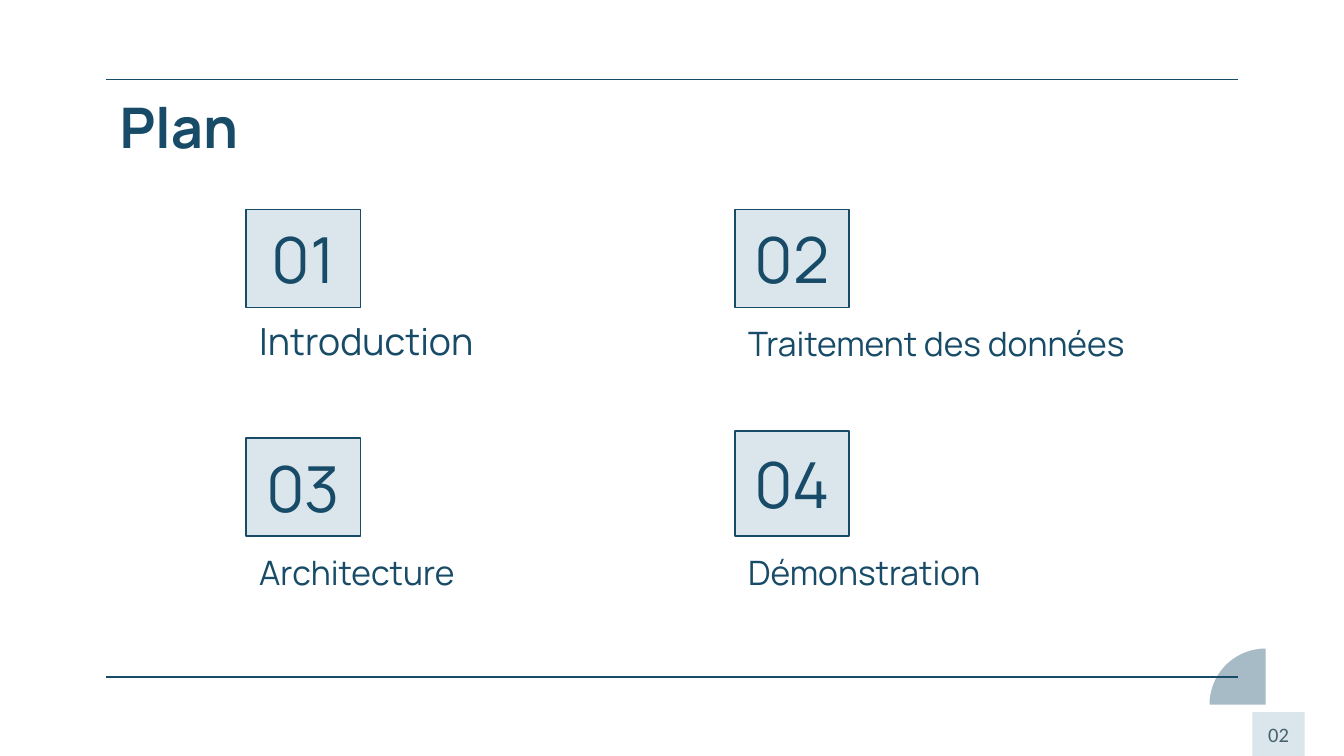
from dataclasses import dataclass
from math import cos, pi, sin

from lxml import etree
from pptx import Presentation
from pptx.dml.color import RGBColor
from pptx.enum import shapes, text
from pptx.oxml.ns import qn
from pptx.util import Cm, Pt

NAVY, PALE, MIST, SLATE = "174B67", "DAE6EC", "A7BBC7", "476170"
LEFT, RIGHT = 2.01, 23.39
COLUMNS = (4.65, 13.89)
BOX_WIDTH = 2.16


@dataclass
class Section:
    number: str
    title: str
    left: float
    box_top: float
    box_height: float
    title_top: float
    title_size: int = 18


SECTIONS = [
    Section("01", "Introduction", COLUMNS[0], 3.96, 1.85, 6.02, 20),
    Section("02", "Traitement des données", COLUMNS[1], 3.96, 1.85, 6.02),
    Section("03", "Architecture", COLUMNS[0], 8.28, 1.85, 10.36),
    Section("04", "Démonstration", COLUMNS[1], 8.15, 1.98, 10.36),
]


def rgb(value: str) -> RGBColor:
    return RGBColor.from_string(value)


def write(sp, content: str, *, size: int, font: str = "Manrope", color: str = NAVY,
          bold: bool = False, align=text.PP_ALIGN.LEFT,
          anchor=text.MSO_ANCHOR.MIDDLE) -> None:
    tf = sp.text_frame
    tf.word_wrap = True
    tf.vertical_anchor = anchor
    tf.margin_left = tf.margin_right = tf.margin_top = tf.margin_bottom = Cm(0.25)
    p = tf.paragraphs[0]
    p.alignment = align
    r = p.add_run()
    r.text = content
    r.font.name, r.font.size, r.font.bold = font, Pt(size), bold
    r.font.color.rgb = rgb(color)


def add_text(s, content: str, left: float, top: float, width: float, height: float,
             **fmt) -> None:
    sp = s.shapes.add_textbox(Cm(left), Cm(top), Cm(width), Cm(height))
    write(sp, content, **fmt)


def paint(sp, fill: str, line: str | None = None) -> None:
    sp.shadow.inherit = False
    sp.fill.solid()
    sp.fill.fore_color.rgb = rgb(fill)
    if line:
        sp.line.color.rgb = rgb(line)
        sp.line.width = Pt(0.75)
    else:
        sp.line.fill.background()


def add_box(s, content: str, left: float, top: float, width: float, height: float,
            line: str | None = None, **fmt) -> None:
    sp = s.shapes.add_shape(shapes.MSO_SHAPE.RECTANGLE,
                            Cm(left), Cm(top), Cm(width), Cm(height))
    paint(sp, PALE, line)
    write(sp, content, align=text.PP_ALIGN.CENTER, **fmt)


def add_rule(s, y: float) -> None:
    """Draw a horizontal line across the content width."""
    c = s.shapes.add_connector(shapes.MSO_CONNECTOR.STRAIGHT,
                               Cm(LEFT), Cm(y), Cm(RIGHT), Cm(y))
    c.line.color.rgb = rgb(NAVY)
    c.line.width = Pt(0.75)
    etree.SubElement(c._element.spPr, qn("a:effectLst"))


def add_quarter_disc(s, x: float, y: float, radius: float, steps: int = 45) -> None:
    """Draw the upper left quarter of a disc centred on (x, y)."""
    angles = [pi / 2 * (1 + i / steps) for i in range(steps + 1)]
    arc = [(Cm(x + radius * cos(a)), Cm(y - radius * sin(a))) for a in angles]
    builder = s.shapes.build_freeform(Cm(x), Cm(y))
    builder.add_line_segments(arc, close=True)
    paint(builder.convert_to_shape(), MIST)


def add_section(s, section: Section) -> None:
    add_box(s, section.number, section.left, section.box_top, BOX_WIDTH,
            section.box_height, line=NAVY, size=34)
    add_text(s, section.title, section.left, section.title_top, 9.14, 1.09,
             size=section.title_size, anchor=text.MSO_ANCHOR.BOTTOM)


def main() -> None:
    prs = Presentation()
    prs.slide_width, prs.slide_height = Cm(25.4), Cm(14.29)
    s = prs.slides.add_slide(prs.slide_layouts[6])

    add_quarter_disc(s, 23.92, 13.32, 1.06)
    for y in (1.5, 12.8):
        add_rule(s, y)
    add_text(s, "Plan", LEFT, 1.5, 21.4, 1.45, size=30, bold=True,
             anchor=text.MSO_ANCHOR.TOP)
    for section in SECTIONS:
        add_section(s, section)
    add_box(s, "02", 23.67, 13.46, 0.99, 0.84, size=11, font="Calibri", color=SLATE)

    prs.save("out.pptx")


if __name__ == "__main__":
    main()
